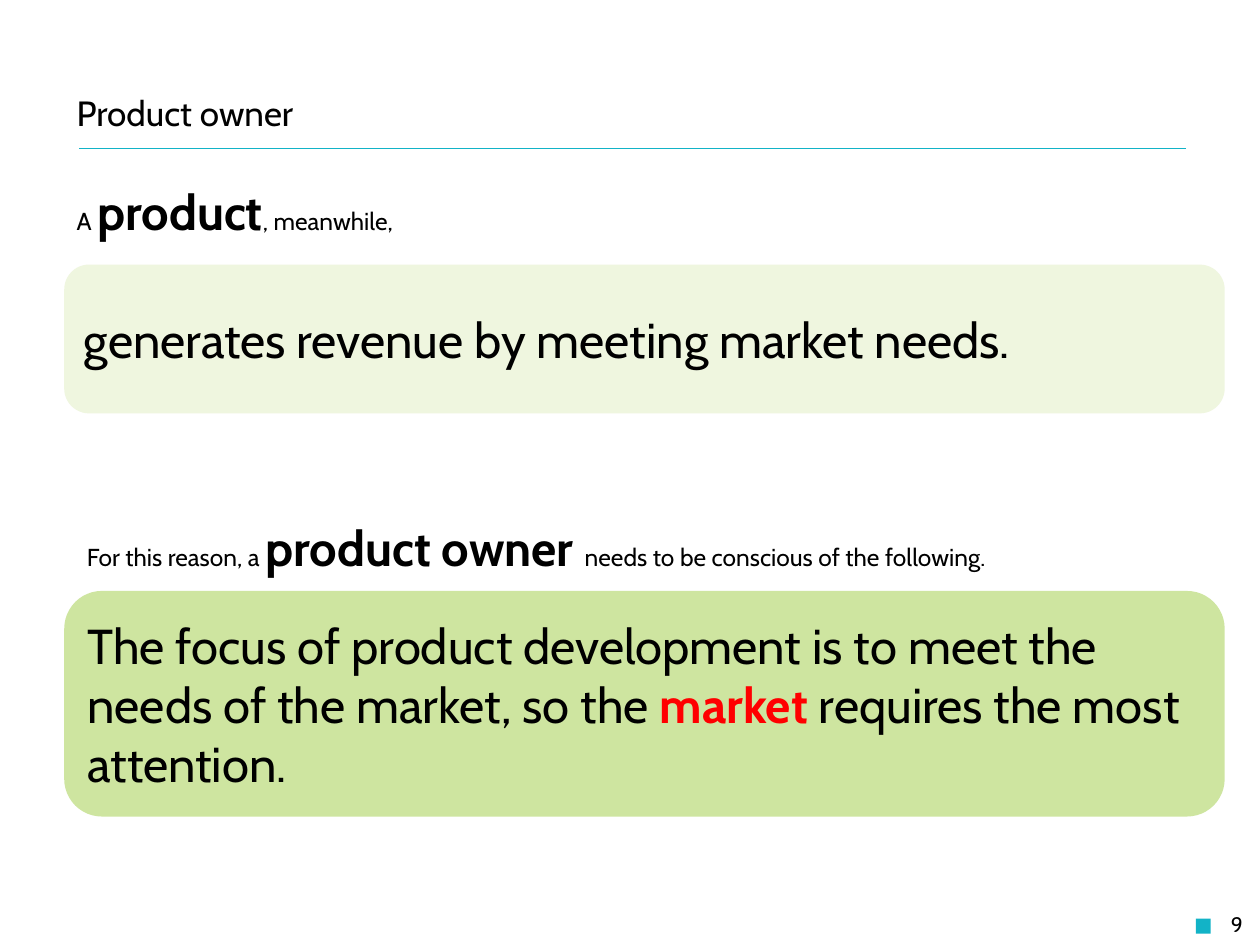
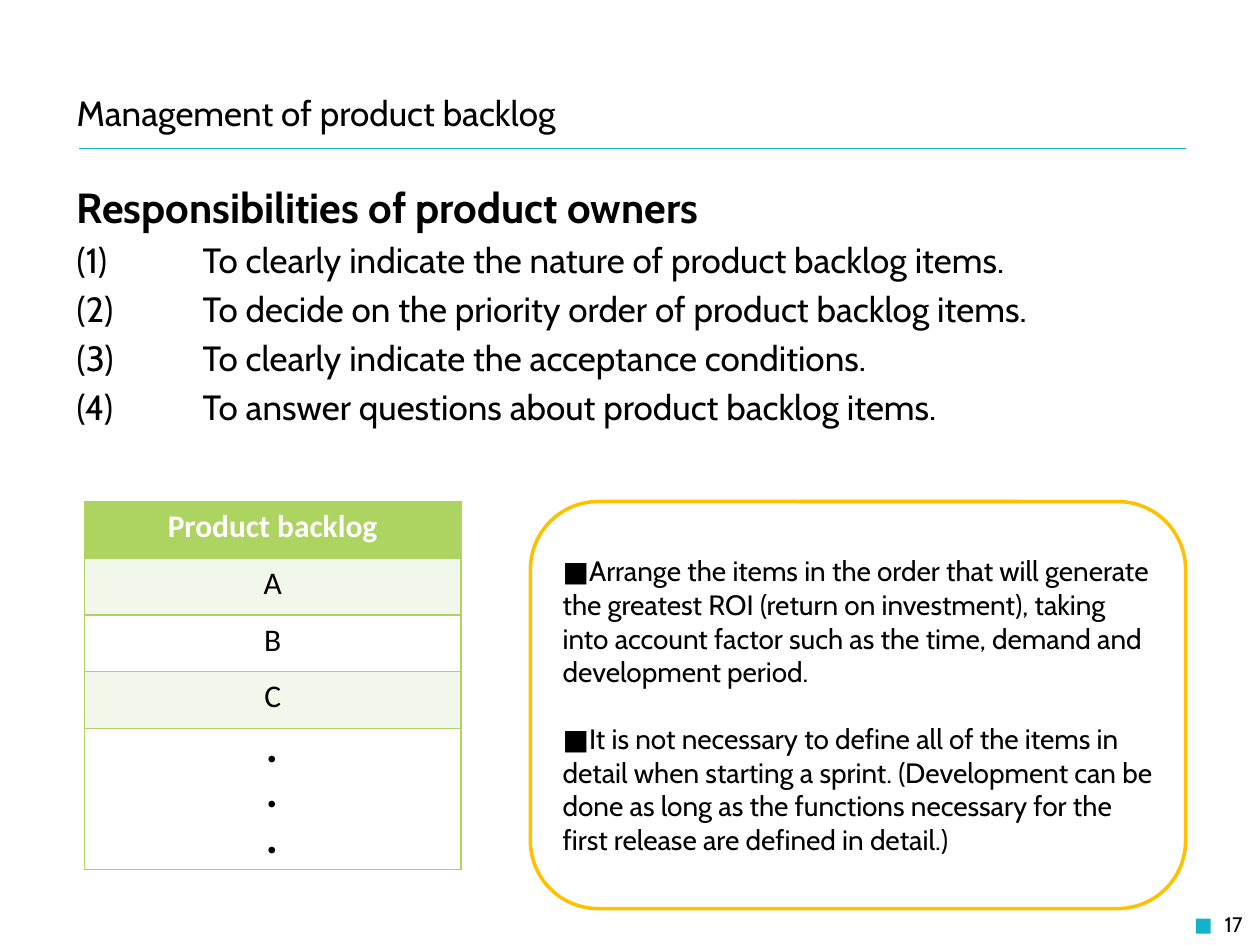
from dataclasses import dataclass
from typing import NamedTuple

from lxml import etree
from pptx import Presentation
from pptx.dml.color import RGBColor
from pptx.enum.shapes import MSO_CONNECTOR, MSO_SHAPE
from pptx.enum.text import MSO_ANCHOR as Anchor, PP_ALIGN as Align
from pptx.oxml.ns import qn
from pptx.util import Pt

COLORS = {
    "text": "000000",
    "white": "FFFFFF",
    "accent": "12B3C7",
    "alert": "FF0000",
    "pale_green": "EFF6DF",
    "green": "CEE5A0",
    "table_green": "ADD361",
    "table_band": "F1F7EA",
    "amber": "FFC000",
}
BODY_FONT, TABLE_FONT = "Cabin", "Calibri"
LEFT, WIDTH = 36.7, 663.1
LIST_INDENT = 72


class Area(NamedTuple):
    left: float
    top: float
    width: float
    height: float

    def lengths(self) -> list:
        return [Pt(value) for value in self]


@dataclass
class Span:
    text: str
    size: float
    bold: bool = False
    color: str = "text"


@dataclass
class Line:
    spans: list[Span]
    before: float = 0
    hanging: float = 0
    align: Align = Align.LEFT


@dataclass
class Panel:
    area: Area
    lines: list[Line]
    fill: str | None = None
    border: str | None = None


def rgb(name: str) -> RGBColor:
    return RGBColor.from_string(COLORS[name])


def write(para, text: str, *, size: float, bold: bool = False,
          color: str = "text", font: str = BODY_FONT) -> None:
    span = para.add_run()
    span.text = text
    span.font.size = Pt(size)
    span.font.bold = bold
    span.font.name = font
    span.font.color.rgb = rgb(color)


def fill_frame(frame, lines: list[Line], anchor: Anchor) -> None:
    frame.word_wrap = True
    frame.vertical_anchor = anchor
    for index, line in enumerate(lines):
        para = frame.add_paragraph() if index else frame.paragraphs[0]
        para.alignment = line.align
        para.space_before = Pt(line.before)
        if line.hanging:
            properties = para._p.get_or_add_pPr()
            properties.set("marL", str(Pt(line.hanging)))
            properties.set("indent", str(-Pt(line.hanging)))
        for span in line.spans:
            write(para, span.text, size=span.size, bold=span.bold, color=span.color)


def add_text(page, area: Area, lines: list[Line], anchor: Anchor = Anchor.TOP) -> None:
    box = page.shapes.add_textbox(*area.lengths())
    fill_frame(box.text_frame, lines, anchor)


def add_panel(page, panel: Panel) -> None:
    box = page.shapes.add_shape(MSO_SHAPE.ROUNDED_RECTANGLE, *panel.area.lengths())
    box.shadow.inherit = False
    if panel.fill:
        box.fill.solid()
        box.fill.fore_color.rgb = rgb(panel.fill)
    else:
        box.fill.background()
    if panel.border:
        box.line.color.rgb = rgb(panel.border)
        box.line.width = Pt(2)
    else:
        box.line.fill.background()
    fill_frame(box.text_frame, panel.lines, Anchor.MIDDLE)


def add_page(deck, title: str, number: int):
    """Add a slide with the shared title, rule, marker and page number."""
    page = deck.slides.add_slide(deck.slide_layouts[6])
    marker = page.shapes.add_shape(MSO_SHAPE.RECTANGLE, *Area(683.3, 524.9, 8.6, 8.6).lengths())
    marker.shadow.inherit = False
    marker.fill.solid()
    marker.fill.fore_color.rgb = rgb("accent")
    marker.line.fill.background()

    rule = page.shapes.add_connector(MSO_CONNECTOR.STRAIGHT, Pt(45.4), Pt(85), Pt(677.5), Pt(85))
    rule.line.color.rgb = rgb("accent")
    rule.line.width = Pt(0.25)
    etree.SubElement(rule._element.spPr, qn("a:effectLst"))

    add_text(page, Area(LEFT, 51.8, 493.2, 25.2), [Line([Span(title, 20)])], Anchor.MIDDLE)
    add_text(page, Area(549.4, 513.4, 167.8, 28.8),
             [Line([Span(str(number), 12)], align=Align.RIGHT)], Anchor.MIDDLE)
    return page


def add_cell_borders(cell, color: str) -> None:
    """Draw all four edges; call before the cell's fill is set."""
    properties = cell._tc.get_or_add_tcPr()
    for edge in ("lnL", "lnR", "lnT", "lnB"):
        border = etree.SubElement(properties, qn(f"a:{edge}"), w=str(Pt(1)))
        solid = etree.SubElement(border, qn("a:solidFill"))
        etree.SubElement(solid, qn("a:srgbClr"), val=COLORS[color])


def add_backlog_table(page, area: Area, rows: list[list[str]], heights: list[float]) -> None:
    """Add a one-column table; each row is a list of paragraphs."""
    table = page.shapes.add_table(len(rows), 1, *area.lengths()).table
    for index, (texts, height) in enumerate(zip(rows, heights)):
        table.rows[index].height = Pt(height)
        cell = table.cell(index, 0)
        header = index == 0
        add_cell_borders(cell, "table_green")
        cell.fill.solid()
        band = "table_band" if index % 2 else "white"
        cell.fill.fore_color.rgb = rgb("table_green" if header else band)
        for position, text in enumerate(texts):
            frame = cell.text_frame
            para = frame.add_paragraph() if position else frame.paragraphs[0]
            para.alignment = Align.CENTER
            write(para, text, size=18, bold=header, font=TABLE_FONT,
                  color="white" if header else "text")


def build_product_owner(deck) -> None:
    page = add_page(deck, "Product owner", 9)
    add_text(page, Area(LEFT, 100.1, WIDTH, 45.4), [Line([
        Span("A ", 14), Span("product", 28, bold=True), Span(", meanwhile,", 14)])])
    add_text(page, Area(42.5, 292.3, WIDTH, 45.4), [Line([
        Span("For this reason, a ", 14), Span("product owner ", 28, bold=True),
        Span("needs to be conscious of the following.", 14)])])
    panels = [
        Panel(Area(LEFT, 151.2, WIDTH, 85), fill="pale_green", lines=[
            Line([Span("generates revenue by meeting market needs.", 28)])]),
        Panel(Area(LEFT, 337.7, WIDTH, 128.9), fill="green", lines=[Line([
            Span("The focus of product development is to meet the needs of the market, so the ", 28),
            Span("market", 28, bold=True, color="alert"),
            Span(" requires the most attention.", 28)])]),
    ]
    for panel in panels:
        add_panel(page, panel)


def build_backlog_management(deck) -> None:
    page = add_page(deck, "Management of product backlog", 17)
    duties = [
        "To clearly indicate the nature of product backlog items.",
        "To decide on the priority order of product backlog items.",
        "To clearly indicate the acceptance conditions.",
        "To answer questions about product backlog items.",
    ]
    heading = Line([Span("Responsibilities of product owners", 24, bold=True)])
    add_text(page, Area(LEFT, 100.1, WIDTH, 160), [heading] + [
        Line([Span(f"({number})\t{duty}", 20)], before=4, hanging=LIST_INDENT)
        for number, duty in enumerate(duties, 1)])

    add_backlog_table(page, Area(48.2, 286.6, 215.3, 209.5),
                      [["Product backlog"], ["A"], ["B"], ["C"], ["・"] * 3],
                      [32.4] * 4 + [80.6])

    notes = [
        "■Arrange the items in the order that will generate the greatest ROI (return on "
        "investment), taking into account factor such as the time, demand and development period.",
        "■It is not necessary to define all of the items in detail when starting a sprint. "
        "(Development can be done as long as the functions necessary for the first release "
        "are defined in detail.)",
    ]
    add_panel(page, Panel(Area(303.1, 286.6, 374.4, 232.6), border="amber", lines=[
        Line([Span(note, 16)], before=19.2 if index else 0)
        for index, note in enumerate(notes)]))


def main() -> None:
    deck = Presentation()
    deck.slide_width, deck.slide_height = Pt(720), Pt(540)
    build_product_owner(deck)
    build_backlog_management(deck)
    deck.save("out.pptx")


if __name__ == "__main__":
    main()
